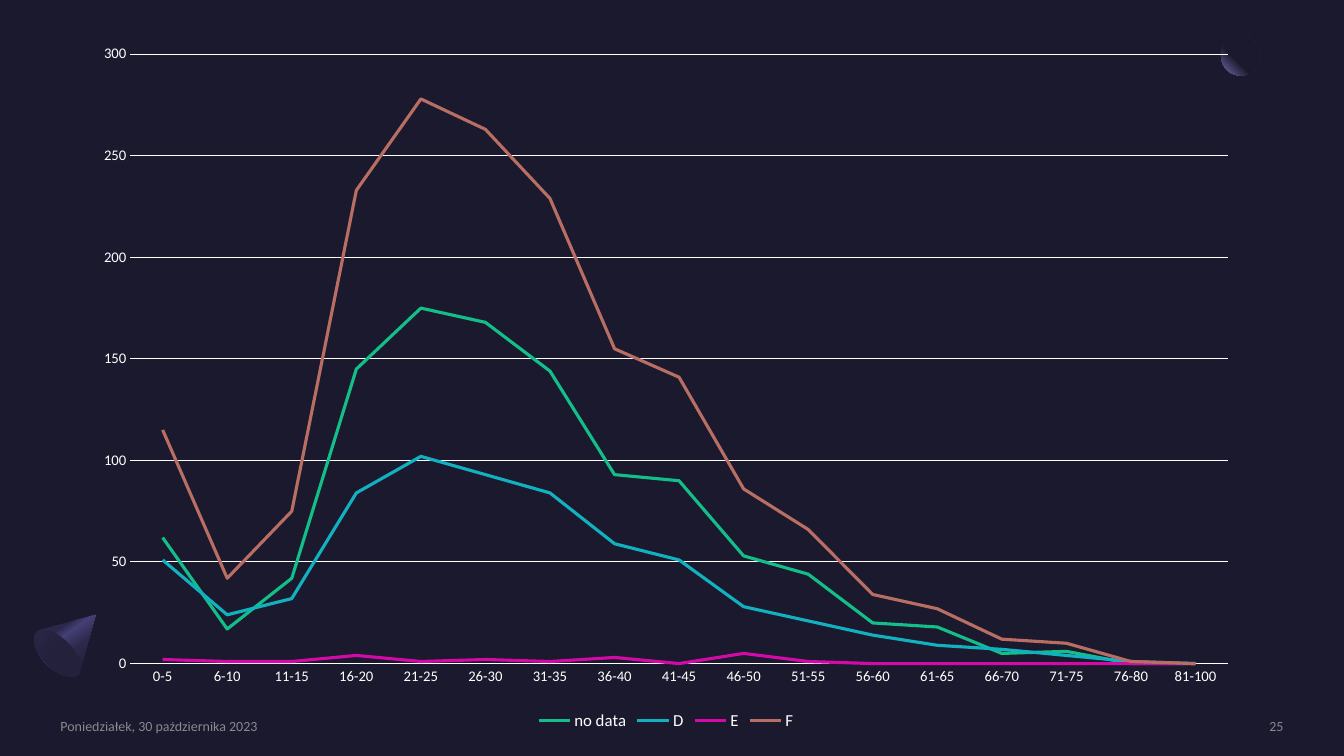
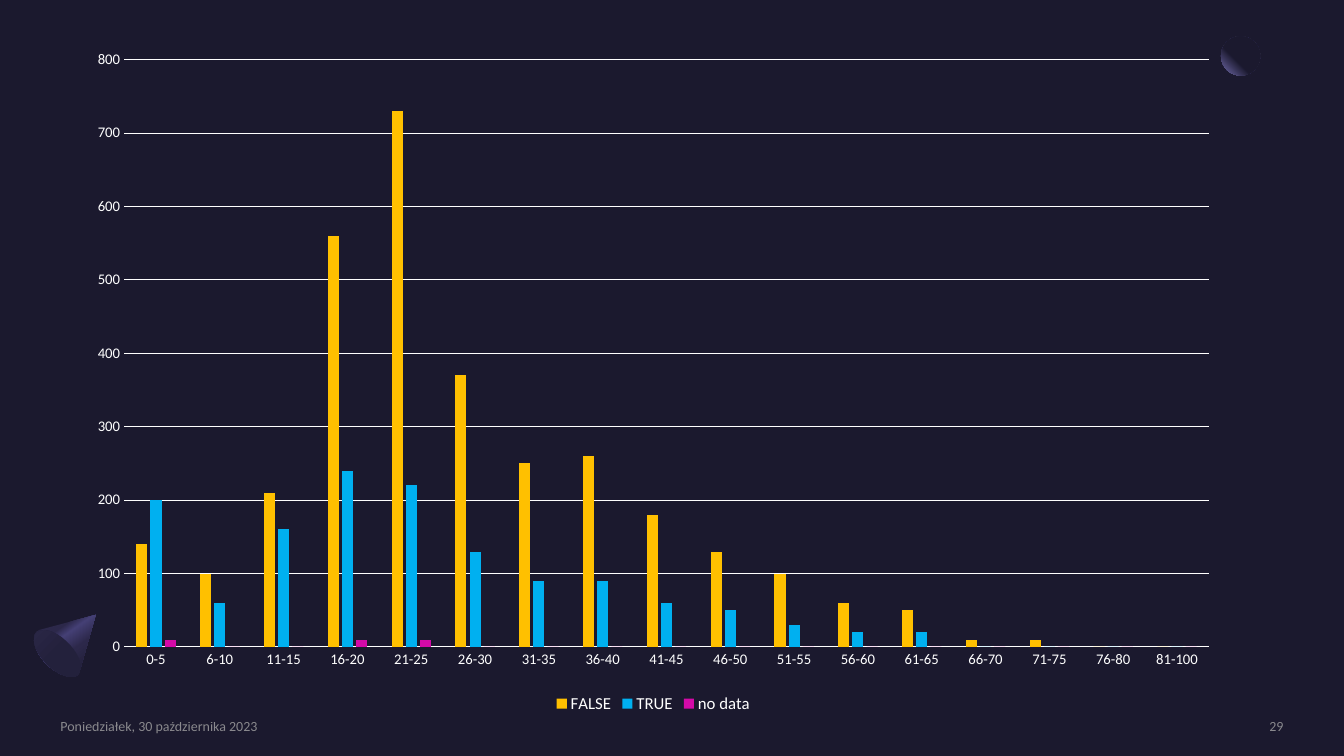
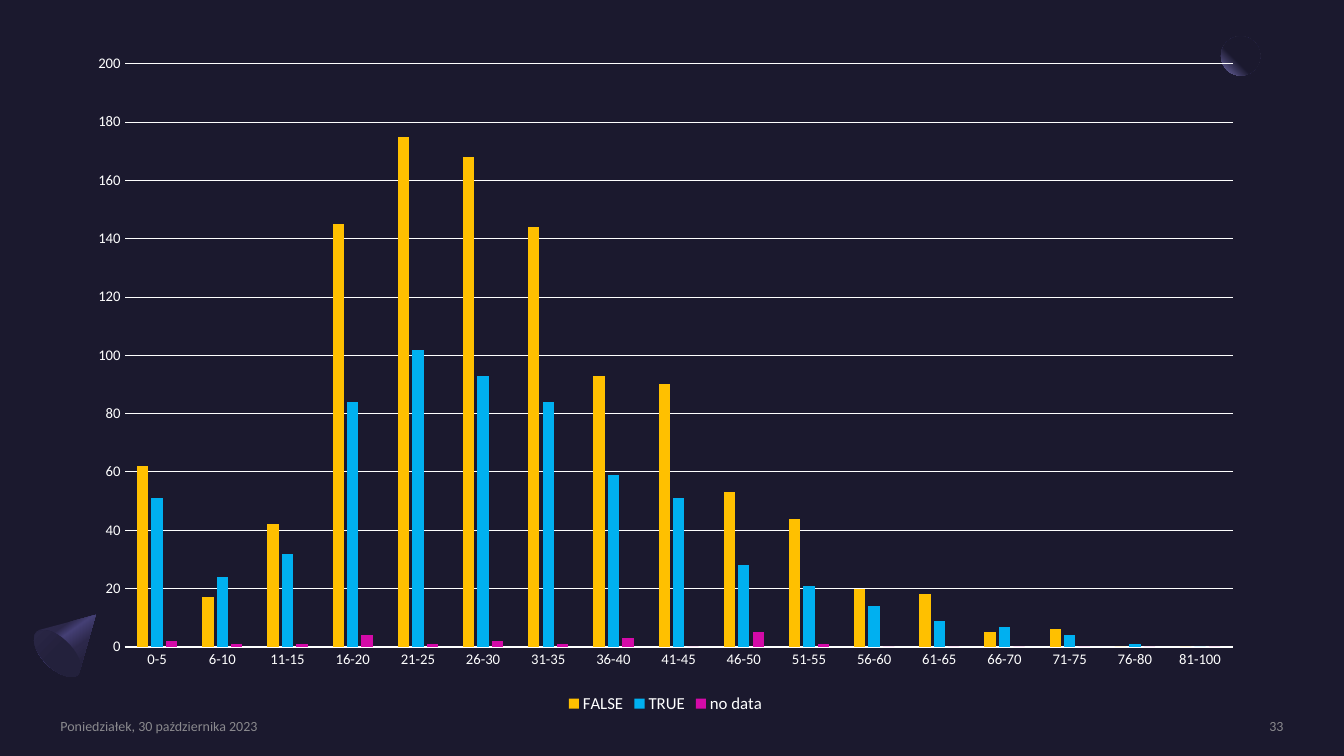
"""Three dark chart slides on age groups with a shared layout, date and page number."""
from pptx import Presentation
from pptx.chart.data import CategoryChartData
from pptx.dml.color import RGBColor
from pptx.enum.chart import XL_CHART_TYPE, XL_LEGEND_POSITION, XL_MARKER_STYLE, XL_TICK_MARK
from pptx.enum.shapes import MSO_SHAPE
from pptx.enum.text import MSO_ANCHOR, PP_ALIGN
from pptx.oxml import parse_xml
from pptx.oxml.ns import nsdecls, qn
from pptx.util import Inches, Pt

NIGHT = RGBColor(0x1B, 0x19, 0x2E)
INDIGO = RGBColor(0x2C, 0x28, 0x4A)
DUSK = RGBColor(0x23, 0x21, 0x3C)
VIOLET = RGBColor(0x45, 0x40, 0x75)
LAVENDER = RGBColor(0x77, 0x71, 0xB2)
GREY = RGBColor(0xA6, 0xA6, 0xA6)
WHITE = RGBColor(0xFF, 0xFF, 0xFF)
GREEN = RGBColor(0x13, 0xBE, 0x89)
TEAL = RGBColor(0x12, 0xB1, 0xBF)
MAGENTA = RGBColor(0xD4, 0x0A, 0xA8)
CLAY = RGBColor(0xB8, 0x6E, 0x62)
AMBER = RGBColor(0xFF, 0xC0, 0x00)
SKY = RGBColor(0x00, 0xB0, 0xF0)
FONT = "Calibri"

DATE = "Poniedziałek, 30 października 2023"
AGES = ["0-5", "6-10", "11-15", "16-20", "21-25", "26-30", "31-35", "36-40", "41-45",
        "46-50", "51-55", "56-60", "61-65", "66-70", "71-75", "76-80", "81-100"]
GROUP_A = [62, 17, 42, 145, 175, 168, 144, 93, 90, 53, 44, 20, 18, 5, 6, 0, 0]
GROUP_D = [51, 24, 32, 84, 102, 93, 84, 59, 51, 28, 21, 14, 9, 7, 4, 1, 0]
GROUP_E = [2, 1, 1, 4, 1, 2, 1, 3, 0, 5, 1, 0, 0, 0, 0, 0, 0]
GROUP_F = [115, 42, 75, 233, 278, 263, 229, 155, 141, 86, 66, 34, 27, 12, 10, 1, 0]
ALL_FALSE = [140, 100, 210, 560, 730, 370, 250, 260, 180, 130, 100, 60, 50, 10, 10, 0, 0]
ALL_TRUE = [200, 60, 160, 240, 220, 130, 90, 90, 60, 50, 30, 20, 20, 0, 0, 0, 0]
ALL_UNKNOWN = [10, 0, 0, 10, 10] + [0] * 12

SLIDES = [
    {"page": "25", "kind": XL_CHART_TYPE.LINE, "box": (0.8, 0.31, 11.61, 6.98),
     "series": [("no data", GROUP_A, GREEN), ("D", GROUP_D, TEAL),
                ("E", GROUP_E, MAGENTA), ("F", GROUP_F, CLAY)]},
    {"page": "29", "kind": XL_CHART_TYPE.COLUMN_CLUSTERED, "box": (0.74, 0.37, 11.48, 6.75),
     "series": [("FALSE", ALL_FALSE, AMBER), ("TRUE", ALL_TRUE, SKY),
                ("no data", ALL_UNKNOWN, MAGENTA)]},
    {"page": "33", "kind": XL_CHART_TYPE.COLUMN_CLUSTERED, "box": (0.74, 0.41, 11.72, 6.71),
     "series": [("FALSE", GROUP_A, AMBER), ("TRUE", GROUP_D, SKY),
                ("no data", GROUP_E, MAGENTA)]},
]

CONE_TIP = (0.95, 6.1)
CONE_CURVES = [
    [(0.79, 6.66), (0.79, 6.67), (0.78, 6.68), (0.78, 6.69)],
    [(0.78, 6.69), (0.72, 6.75), (0.58, 6.7), (0.46, 6.59)],
    [(0.46, 6.59), (0.35, 6.47), (0.3, 6.33), (0.36, 6.27)],
    [(0.36, 6.27), (0.37, 6.26), (0.38, 6.26), (0.39, 6.25)],
]
CURVE_STEPS = 8


def inches(values):
    return [Inches(value) for value in values]


def style(target, formats):
    for name, value in formats.items():
        setattr(target, name, value)


def style_font(font, size, color):
    style(font, {"name": FONT, "size": Pt(size)})
    font.color.rgb = color


def paint_gradient(shape, stops, direction):
    shape.shadow.inherit = False
    shape.line.fill.background()
    shape.fill.background()
    stop_xml = "".join(f'<a:gs pos="{pos * 1000}"><a:srgbClr val="{color}"/></a:gs>'
                       for pos, color in stops)
    blank_fill = shape.element.spPr.find(qn("a:noFill"))
    blank_fill.getparent().replace(blank_fill, parse_xml(
        f'<a:gradFill {nsdecls("a")} rotWithShape="1"><a:gsLst>{stop_xml}</a:gsLst>'
        f'{direction}</a:gradFill>'))


def linear(degrees):
    return f'<a:lin ang="{degrees * 60000}" scaled="0"/>'


def curve_point(curve, t):
    weights = ((1 - t) ** 3, 3 * t * (1 - t) ** 2, 3 * t * t * (1 - t), t ** 3)
    return tuple(sum(w * point[axis] for w, point in zip(weights, curve)) for axis in (0, 1))


def add_decor(slide, layout):
    shapes = slide.shapes
    moon = shapes.add_shape(MSO_SHAPE.OVAL, *inches((12.11, 0.36, 0.39, 0.39)))
    paint_gradient(moon, [(60, NIGHT), (100, LAVENDER)],
                   '<a:path path="circle"><a:fillToRect l="100000" b="100000"/></a:path>')

    outline = [curve_point(curve, step / CURVE_STEPS)
               for curve in CONE_CURVES for step in range(CURVE_STEPS + 1)]
    builder = shapes.build_freeform(*inches(CONE_TIP))
    builder.add_line_segments([inches(point) for point in outline], close=True)
    cone = builder.convert_to_shape()
    paint_gradient(cone, [(30, INDIGO), (40, VIOLET), (60, INDIGO), (100, NIGHT)], linear(55))

    cone_base = shapes.add_shape(MSO_SHAPE.OVAL, *inches((0.42, 6.19, 0.3, 0.59)))
    cone_base.rotation = 135
    paint_gradient(cone_base, [(50, DUSK), (100, INDIGO)], linear(90))

    for part in (moon, shapes.add_group_shape([cone, cone_base])):
        layout.shapes.element.append(part.element)


def add_footer(slide, text, left, width, alignment):
    footer = slide.shapes.add_textbox(*inches((left, 7.12, width, 0.17)))
    frame = footer.text_frame
    style(frame, {"word_wrap": True, "vertical_anchor": MSO_ANCHOR.MIDDLE, "margin_left": 0,
                  "margin_top": 0, "margin_right": 0, "margin_bottom": 0})
    paragraph = frame.paragraphs[0]
    paragraph.alignment = alignment
    run = paragraph.add_run()
    run.text = text
    style_font(run.font, 10, GREY)
    for color in run.font.fill._xPr.iter(qn("a:srgbClr")):
        color.append(parse_xml(f'<a:alpha {nsdecls("a")} val="80000"/>'))


def white_line(line_format):
    line_format.color.rgb = WHITE
    line_format.width = Pt(0.75)


def add_age_chart(slide, kind, box, series):
    data = CategoryChartData()
    data.categories = AGES
    for name, values, _ in series:
        data.add_series(name, values)
    chart = slide.shapes.add_chart(kind, *inches(box), data).chart
    style(chart, {"has_title": False, "has_legend": True})
    style_font(chart.font, 10, WHITE)
    style(chart.legend, {"position": XL_LEGEND_POSITION.BOTTOM, "include_in_layout": False})
    style_font(chart.legend.font, 12, WHITE)

    for axis in (chart.category_axis, chart.value_axis):
        style(axis, {"major_tick_mark": XL_TICK_MARK.NONE, "minor_tick_mark": XL_TICK_MARK.NONE})
        style_font(axis.tick_labels.font, 10.5, WHITE)
    white_line(chart.category_axis.format.line)
    chart.value_axis.format.line.fill.background()
    white_line(chart.value_axis.major_gridlines.format.line)

    plot = chart.plots[0]
    plot.vary_by_categories = False
    is_line = kind == XL_CHART_TYPE.LINE
    if not is_line:
        style(plot, {"gap_width": 219, "overlap": -27})
    for drawn, (_, _, color) in zip(plot.series, series):
        if is_line:
            drawn.smooth = False
            drawn.marker.style = XL_MARKER_STYLE.NONE
            drawn.format.line.color.rgb = color
            drawn.format.line.width = Pt(2.25)
        else:
            drawn.format.fill.solid()
            drawn.format.fill.fore_color.rgb = color


def main():
    prs = Presentation()
    style(prs, {"slide_width": Inches(13.33), "slide_height": Inches(7.5)})
    backdrop = prs.slide_master.background.fill
    backdrop.solid()
    backdrop.fore_color.rgb = NIGHT
    layout = prs.slide_layouts[6]
    for placeholder in list(layout.placeholders):
        layout.shapes.element.remove(placeholder.element)

    for index, content in enumerate(SLIDES):
        slide = prs.slides.add_slide(layout)
        if index == 0:
            add_decor(slide, layout)
        add_footer(slide, DATE, 0.6, 2.88, PP_ALIGN.LEFT)
        add_footer(slide, content["page"], 10.88, 1.85, PP_ALIGN.RIGHT)
        add_age_chart(slide, content["kind"], content["box"], content["series"])
    prs.save("out.pptx")


if __name__ == "__main__":
    main()
